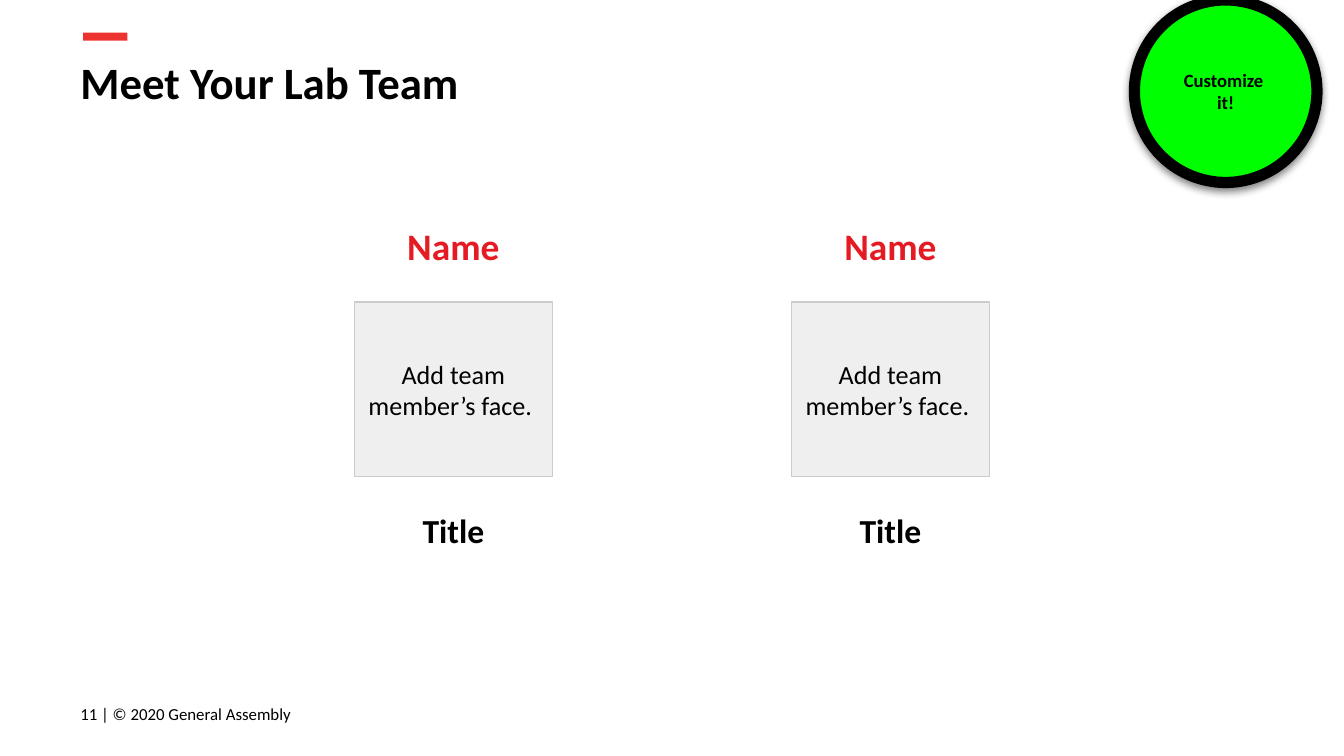
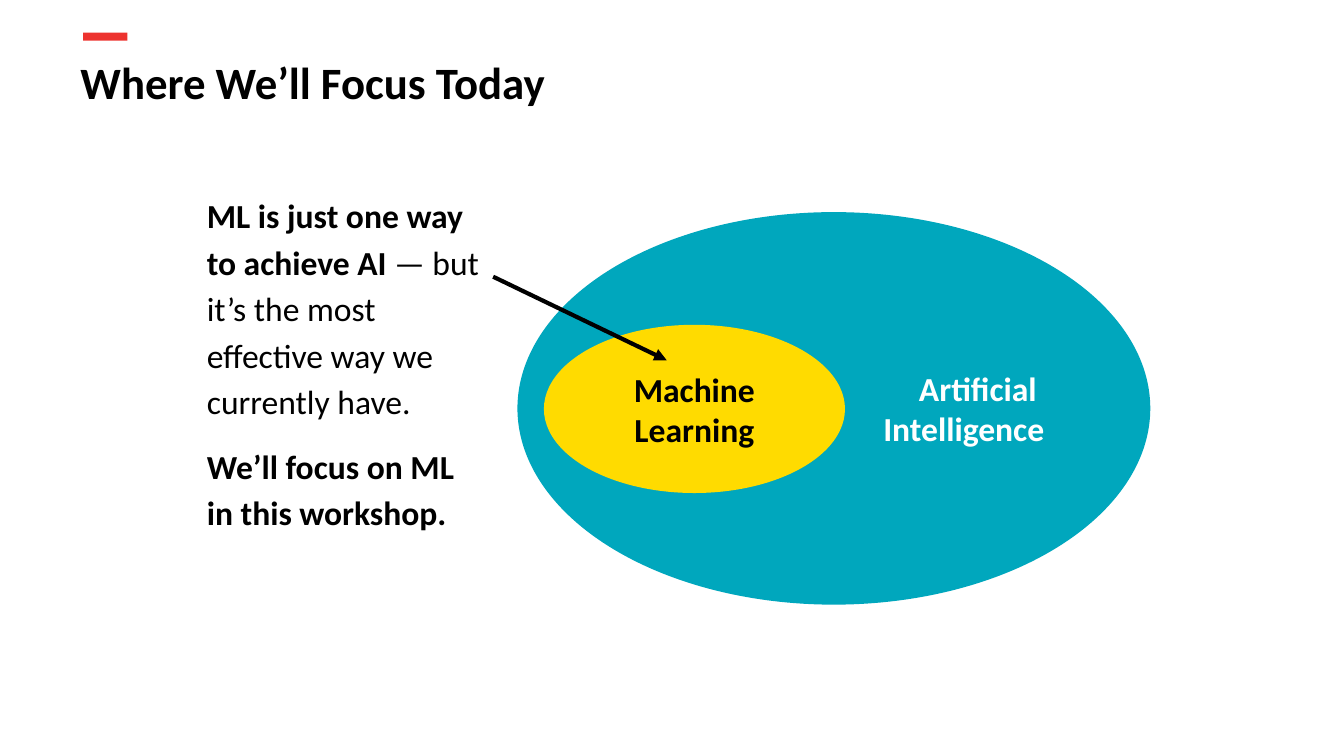
from copy import deepcopy

from lxml import etree
from pptx import Presentation
from pptx.dml.color import RGBColor
from pptx.enum.shapes import MSO_CONNECTOR, MSO_SHAPE
from pptx.enum.text import MSO_ANCHOR, MSO_AUTO_SIZE, PP_ALIGN
from pptx.oxml.ns import qn
from pptx.util import Cm, Pt

LEFT, MID, RIGHT = PP_ALIGN.LEFT, PP_ALIGN.CENTER, PP_ALIGN.RIGHT
TOP, CENTER = MSO_ANCHOR.TOP, MSO_ANCHOR.MIDDLE
RECT, OVAL = MSO_SHAPE.RECTANGLE, MSO_SHAPE.OVAL
STRAIGHT, FIXED = MSO_CONNECTOR.STRAIGHT, MSO_AUTO_SIZE.NONE

FONT = "Calibri"
INSET = Cm(0.25)
COLORS = {
    "bar": "ED332F", "name": "E51B24", "text": "000000", "white": "FFFFFF",
    "face": "EFEFEF", "edge": "CCCCCC", "badge": "00FF00",
    "teal": "00A7BD", "gold": "FFDB00",
}


def color(key):
    return RGBColor.from_string(COLORS[key])


def style(run, size, key="text", bold=False):
    font = run.font
    font.name, font.size, font.bold = FONT, Pt(size), bold
    font.color.rgb = color(key)


def write(frame, text, size, key="text", bold=False, align=LEFT, anchor=TOP):
    """Fill a frame with one paragraph and return that paragraph."""
    frame.word_wrap, frame.auto_size = True, FIXED
    frame.vertical_anchor = anchor
    frame.margin_left = frame.margin_right = INSET
    frame.margin_top = frame.margin_bottom = INSET
    para = frame.paragraphs[0]
    para.text, para.alignment = text, align
    for run in para.runs:
        style(run, size, key, bold)
    # Line breaks take the size of the text around them
    for gap in para._p.findall(qn("a:br")):
        gap.append(deepcopy(para.runs[0].font._element))
    return para


def add_text(slide, box, text, size, **look):
    frame = slide.shapes.add_textbox(*map(Cm, box)).text_frame
    return write(frame, text, size, **look)


def add_form(slide, kind, box, fill, edge=None, width=0.75):
    form = slide.shapes.add_shape(kind, *map(Cm, box))
    form.shadow.inherit = False
    form.fill.solid()
    form.fill.fore_color.rgb = color(fill)
    if edge:
        form.line.color.rgb = color(edge)
        form.line.width = Pt(width)
    else:
        form.line.fill.background()
    return form


def add_shade(form):
    """Give a form a soft shadow straight below it."""
    effects = form._element.spPr.find(qn("a:effectLst"))
    shade = etree.SubElement(effects, qn("a:outerShdw"), blurRad=str(Pt(4.5)),
                             dist=str(Pt(1.5)), dir="5400000",
                             algn="bl", rotWithShape="0")
    tone = etree.SubElement(shade, qn("a:srgbClr"), val=COLORS["text"])
    etree.SubElement(tone, qn("a:alpha"), val="50000")


def add_arrow(slide, start, end):
    arrow = slide.shapes.add_connector(STRAIGHT, *map(Cm, start + end))
    arrow.line.color.rgb = color("text")
    arrow.line.width = Pt(2.25)
    props = arrow._element.spPr
    etree.SubElement(props.find(qn("a:ln")), qn("a:tailEnd"), type="triangle")
    etree.SubElement(props, qn("a:effectLst"))


def add_slide(deck, title):
    slide = deck.slides.add_slide(deck.slide_layouts.get_by_name("Title Only"))
    head = slide.shapes.title
    head.left, head.top, head.width, head.height = map(
        Cm, (1.27, 0.79, 23.67, 1.6))
    write(head.text_frame, title, 24, bold=True)
    return slide


def add_bar(slide):
    """Draw the red bar and move it to the layout that all slides share."""
    bar = add_form(slide, RECT, (1.57, 0.62, 0.84, 0.15), "bar")
    slide.slide_layout.shapes.element.append(bar._element)


def add_member(slide, mid):
    """Name, face and title, centred on one column."""
    for text, size, key, wide, top, high in (
            ("Name", 20, "name", 4.47, 3.84, 1.3),
            ("Title", 18, "text", 5.46, 9.27, 2.46)):
        para = add_text(slide, (mid - wide / 2, top, wide, high), text, size,
                        key=key, bold=True, align=MID)
        para.line_spacing, para.space_after = 1.15, Pt(16)
    face = add_form(slide, RECT, (mid - 1.87, 5.71, 3.74, 3.3), "face", "edge")
    write(face.text_frame, "Add team member’s face. ", 14,
          align=MID, anchor=CENTER)


def team_slide(deck):
    slide = add_slide(deck, "Meet Your Lab Team")
    add_bar(slide)
    for col in range(2):
        add_member(slide, 8.57 + col * 8.26)

    # Badge
    badge = add_form(slide, OVAL, (21.44, 0, 3.45, 3.45), "badge", "text", 6)
    add_shade(badge)
    write(badge.text_frame, "Customize \vit!", 10, bold=True,
          align=MID, anchor=CENTER)

    # Footer
    add_text(slide, (1.27, 12.95, 6.58, 1.09),
             "11 | © 2020 General Assembly", 9, anchor=CENTER)


def focus_slide(deck):
    slide = add_slide(deck, "Where We’ll Focus Today")

    # Nested fields
    for box, fill, text, key, align in (
            ((9.78, 4.01, 11.96, 7.42), "teal",
             "Artificial \vIntelligence", "white", RIGHT),
            ((10.28, 6.14, 5.69, 3.18), "gold",
             "Machine Learning", "text", MID)):
        oval = add_form(slide, OVAL, box, fill)
        write(oval.text_frame, text, 18, key, True, align, CENTER)
    add_arrow(slide, (9.32, 5.23), (12.6, 6.81))

    # Message
    first = add_text(slide, (3.66, 3.33, 5.69, 3.81),
                     "ML is just one way to achieve AI", 18, bold=True)
    rest = first.add_run()
    rest.text = " — but it’s the most effective way we currently have."
    style(rest, 18)
    last = slide.shapes[-1].text_frame.add_paragraph()
    last.text = "We’ll focus on ML in this workshop."
    style(last.runs[0], 18, bold=True)
    last.space_before = last.space_after = Pt(10)
    first.line_spacing = last.line_spacing = 1.15


def main():
    deck = Presentation()
    deck.slide_width, deck.slide_height = Cm(25.4), Cm(14.29)
    team_slide(deck)
    focus_slide(deck)
    deck.save("out.pptx")


if __name__ == "__main__":
    main()
